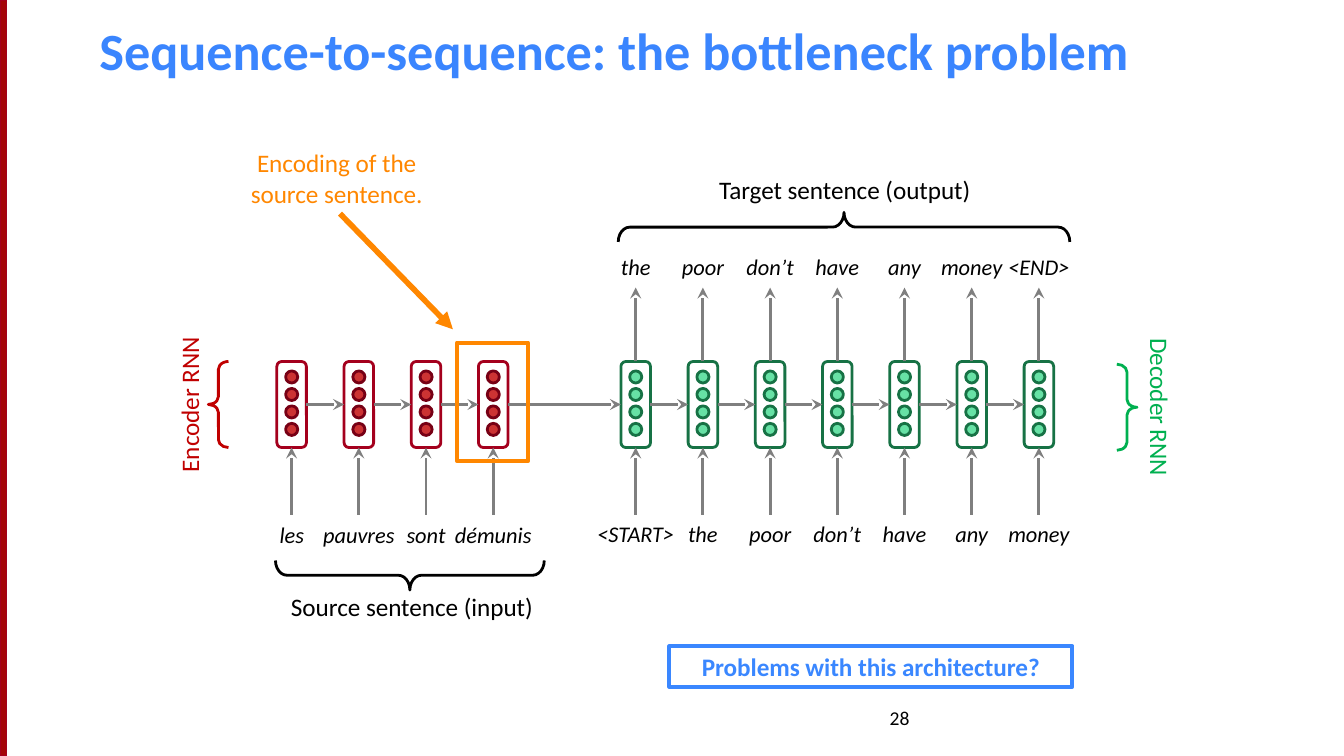
"""Build the slide on the bottleneck problem of sequence-to-sequence models."""
from lxml import etree
from pptx import Presentation
from pptx.dml.color import RGBColor
from pptx.enum.shapes import MSO_CONNECTOR, MSO_SHAPE
from pptx.enum.text import MSO_ANCHOR, MSO_AUTO_SIZE, PP_ALIGN
from pptx.oxml.ns import qn
from pptx.util import Inches, Pt

LINE = MSO_CONNECTOR.STRAIGHT
BRACE, OVAL = MSO_SHAPE.LEFT_BRACE, MSO_SHAPE.OVAL
RECTANGLE, ROUNDED = MSO_SHAPE.RECTANGLE, MSO_SHAPE.ROUNDED_RECTANGLE
TOP, BOTTOM = MSO_ANCHOR.TOP, MSO_ANCHOR.BOTTOM
LEFT, CENTER = PP_ALIGN.LEFT, PP_ALIGN.CENTER

BLACK = RGBColor(0x00, 0x00, 0x00)
GRAY = RGBColor(0x7F, 0x7F, 0x7F)
BAR_RED = RGBColor(0xA4, 0x05, 0x08)
CELL_RED = RGBColor(0xA4, 0x00, 0x1D)
RED = RGBColor(0xC0, 0x00, 0x00)
DARK_RED = RGBColor(0x77, 0x00, 0x15)
GREEN = RGBColor(0x00, 0xB0, 0x50)
MINT = RGBColor(0x42, 0xDA, 0x8F)
DARK_GREEN = RGBColor(0x17, 0x72, 0x45)
TITLE_BLUE = RGBColor(0x3A, 0x85, 0xFE)
BLUE = RGBColor(0x3A, 0x87, 0xFF)
ORANGE = RGBColor(0xFF, 0x87, 0x00)

TITLE = "Sequence-to-sequence: the bottleneck problem"
QUESTION = "Problems with this architecture?"
SOURCE_WORDS = ["les", "pauvres", "sont", "démunis"]
DECODER_INPUTS = ["<START>", "the", "poor", "don’t", "have", "any", "money"]
DECODER_OUTPUTS = DECODER_INPUTS[1:] + ["<END>"]
LABELS = [
    ("Encoder RNN", (0.74, 2.86, 1.33, 0.3), 270, RED),
    ("Decoder RNN", (7.99, 2.88, 1.29, 0.3), 90, GREEN),
    ("Source sentence (input)", (2, 4.36, 2.13, 0.3), 0, BLACK),
    ("Target sentence (output)", (4.97, 1.26, 2.63, 0.3), 0, BLACK),
    ("Encoding of the\vsource sentence.", (1.37, 1.06, 2.27, 0.53), 0, ORANGE),
]
BRACES = [
    ((2.94, 3.28, 0.22, 2), 270, BLACK),
    ((1.55, 2.69, 0.15, 0.64), 0, RED),
    ((6.17, 0.01, 0.22, 3.36), 90, BLACK),
    ((8.31, 2.71, 0.15, 0.64), 180, GREEN),
]

SLIDE_WIDTH = Inches(10)
SLIDE_HEIGHT = SLIDE_WIDTH * 9 // 16
STEP = 0.5
ENCODER_X = [2.17 + STEP * i for i in range(len(SOURCE_WORDS))]
DECODER_X = [4.73 + STEP * i for i in range(len(DECODER_INPUTS))]
CELL_WIDTH, CELL_HEIGHT, CELL_TOP = 0.22, 0.64, 2.69
CELL_BOTTOM = CELL_TOP + CELL_HEIGHT
CELL_MIDDLE = CELL_TOP + CELL_HEIGHT / 2
DOT_SIZE, DOT_TOP, DOT_STEP, DOT_COUNT = 0.09, 2.76, 0.13, 4
INPUT_Y, OUTPUT_Y = 3.83, 2.14
INSET = 0.07


def add_shape(shapes, kind, box, line_color, width=1.5, fill=None, rotation=0):
    shape = shapes.add_shape(kind, *map(Inches, box))
    shape.shadow.inherit = False
    shape.rotation = rotation
    shape.line.color.rgb = line_color
    shape.line.width = Pt(width)
    if fill is None:
        shape.fill.background()
    else:
        shape.fill.solid()
        shape.fill.fore_color.rgb = fill
    return shape


def add_arrow(shapes, start, end, color=GRAY, width=1.5, head="stealth"):
    arrow = shapes.add_connector(LINE, *map(Inches, (*start, *end)))
    arrow.line.color.rgb = color
    arrow.line.width = Pt(width)
    line = arrow._element.spPr.find(qn("a:ln"))
    etree.SubElement(line, qn("a:tailEnd"), type=head)
    etree.SubElement(arrow._element.spPr, qn("a:effectLst"))


def write(shape, text, size, color, align=CENTER, anchor=TOP, bold=False, italic=False, tabs=()):
    frame = shape.text_frame
    frame.word_wrap = True
    frame.auto_size = MSO_AUTO_SIZE.NONE
    frame.vertical_anchor = anchor
    frame.margin_left = frame.margin_right = Inches(INSET)
    frame.margin_top = frame.margin_bottom = Inches(0.04)
    frame.text = text
    paragraph = frame.paragraphs[0]
    paragraph.alignment = align
    if tabs:
        tab_list = etree.SubElement(paragraph._p.get_or_add_pPr(), qn("a:tabLst"))
        for tab in tabs:
            etree.SubElement(tab_list, qn("a:tab"), pos=str(Inches(tab)), algn="ctr")
    font = paragraph.font
    font.name, font.size, font.bold, font.italic = "Calibri", Pt(size), bold, italic
    font.color.rgb = color


def add_text(shapes, box, text, size, color, rotation=0, **options):
    text_box = shapes.add_textbox(*map(Inches, box))
    text_box.rotation = rotation
    write(text_box, text, size, color, **options)


def add_words(shapes, words, centers, box):
    tabs = [center - box[0] - INSET for center in centers]
    text = "".join("\t" + word for word in words)
    add_text(shapes, box, text, 12, BLACK, align=LEFT, italic=True, tabs=tabs)


def add_cell(shapes, center, border, dot_fill, dot_line):
    group = shapes.add_group_shape().shapes
    for i in range(DOT_COUNT):
        box = (center - DOT_SIZE / 2, DOT_TOP + DOT_STEP * i, DOT_SIZE, DOT_SIZE)
        dot = add_shape(group, OVAL, box, dot_line, fill=dot_fill)
        color = dot._element.spPr.find(qn("a:solidFill"))[0]
        etree.SubElement(color, qn("a:alpha"), val="80000")
    box = (center - CELL_WIDTH / 2, CELL_TOP, CELL_WIDTH, CELL_HEIGHT)
    add_shape(group, ROUNDED, box, border)
    add_arrow(shapes, (center, INPUT_Y), (center, CELL_BOTTOM))


def main():
    presentation = Presentation()
    presentation.slide_width, presentation.slide_height = SLIDE_WIDTH, SLIDE_HEIGHT
    slide = presentation.slides.add_slide(presentation.slide_layouts[5])
    shapes = slide.shapes

    add_shape(shapes, RECTANGLE, (0, 0, 0.05, SLIDE_HEIGHT.inches if hasattr(SLIDE_HEIGHT, "inches")
              else SLIDE_HEIGHT / Inches(1)), CELL_RED, 0.75, BAR_RED)
    title = shapes.title
    title.left, title.top, title.width, title.height = map(Inches, (0.67, 0, 8.58, 0.64))
    write(title, TITLE, 28, TITLE_BLUE, align=LEFT, anchor=BOTTOM, bold=True)
    add_text(shapes, (6.55, 5.21, 1.69, 0.3), "28", 10.5, BLACK, align=LEFT)

    for center in ENCODER_X:
        add_cell(shapes, center, CELL_RED, RED, DARK_RED)
    for center in DECODER_X:
        add_cell(shapes, center, DARK_GREEN, MINT, DARK_GREEN)
        add_arrow(shapes, (center, CELL_TOP), (center, OUTPUT_Y))
    centers = ENCODER_X + DECODER_X
    for center, following in zip(centers, centers[1:]):
        add_arrow(shapes, (center + CELL_WIDTH / 2, CELL_MIDDLE),
                  (following - CELL_WIDTH / 2, CELL_MIDDLE))

    add_words(shapes, SOURCE_WORDS, ENCODER_X, (2.01, 3.84, 2.12, 0.28))
    add_words(shapes, DECODER_INPUTS, DECODER_X, (4.36, 3.83, 3.85, 0.28))
    add_words(shapes, DECODER_OUTPUTS, DECODER_X, (4.55, 1.84, 3.55, 0.28))
    for text, box, rotation, color in LABELS:
        add_text(shapes, box, text, 13.5, color, rotation)
    for box, rotation, color in BRACES:
        brace = add_shape(shapes, BRACE, box, color, rotation=rotation)
        brace.adjustments[0] = 0.39

    question = add_shape(shapes, RECTANGLE, (4.98, 4.81, 3, 0.3), BLUE, 2.25)
    write(question, QUESTION, 13.5, BLUE, bold=True)
    add_shape(shapes, RECTANGLE, (3.4, 2.55, 0.53, 0.88), ORANGE, 2.25)
    add_arrow(shapes, (2.53, 1.59), (3.37, 2.45), ORANGE, 3, "triangle")
    presentation.save("out.pptx")


if __name__ == "__main__":
    main()
